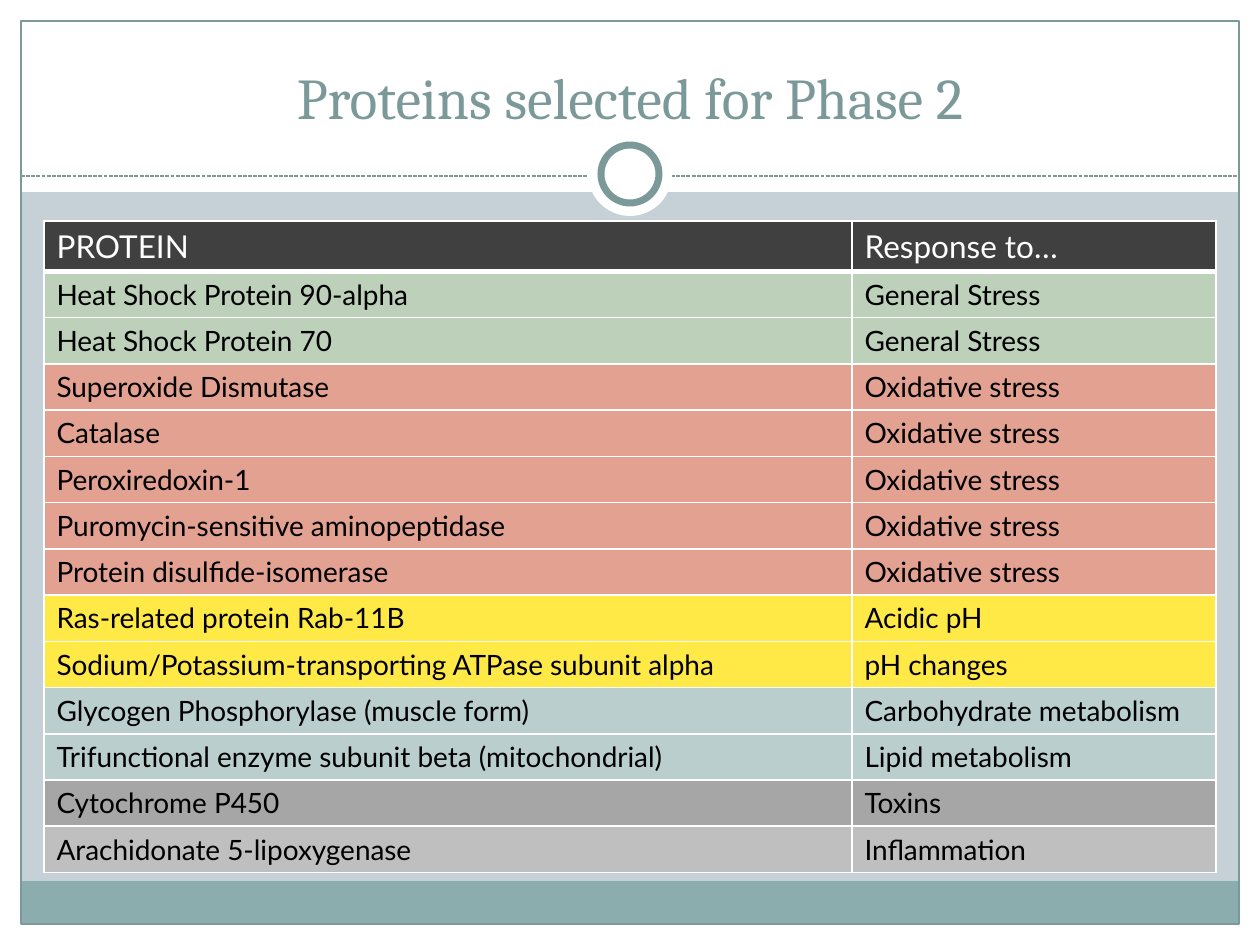
from lxml.etree import SubElement
from pptx import Presentation
from pptx.dml.color import RGBColor
from pptx.enum.dml import MSO_LINE
from pptx.enum.shapes import MSO_CONNECTOR, MSO_SHAPE
from pptx.enum.text import MSO_ANCHOR, PP_ALIGN
from pptx.oxml import parse_xml
from pptx.oxml.ns import nsdecls, qn
from pptx.util import Emu, Pt

WHITE = RGBColor(0xFF, 0xFF, 0xFF)
BLACK = RGBColor(0x00, 0x00, 0x00)
MIST = RGBColor(0xC5, 0xD1, 0xD7)
TEAL = RGBColor(0x7C, 0x99, 0x9A)
FOOTER_TEAL = RGBColor(0x8C, 0xAD, 0xAE)
CHARCOAL = RGBColor(0x40, 0x40, 0x40)
GREEN = RGBColor(0xBC, 0xD0, 0xBA)
RED = RGBColor(0xE3, 0xA1, 0x92)
YELLOW = RGBColor(0xFF, 0xE9, 0x47)
BLUE = RGBColor(0xBA, 0xCE, 0xCE)
GRAY = RGBColor(0xA6, 0xA6, 0xA6)
LIGHT_GRAY = RGBColor(0xBF, 0xBF, 0xBF)

PX_PER_INCH = 126
WIDTH, HEIGHT = 1260, 945
MARGIN = 21

HEADER = ("PROTEIN", "Response to…")
PROTEIN_GROUPS = [
    (GREEN, [
        ("Heat Shock Protein 90-alpha", "General Stress"),
        ("Heat Shock Protein 70", "General Stress"),
    ]),
    (RED, [
        ("Superoxide Dismutase", "Oxidative stress"),
        ("Catalase", "Oxidative stress"),
        ("Peroxiredoxin-1", "Oxidative stress"),
        ("Puromycin-sensitive aminopeptidase", "Oxidative stress"),
        ("Protein disulfide-isomerase", "Oxidative stress"),
    ]),
    (YELLOW, [
        ("Ras-related protein Rab-11B", "Acidic pH"),
        ("Sodium/Potassium-transporting ATPase subunit alpha", "pH changes"),
    ]),
    (BLUE, [
        ("Glycogen Phosphorylase (muscle form)", "Carbohydrate metabolism"),
        ("Trifunctional enzyme subunit beta (mitochondrial)", "Lipid metabolism"),
    ]),
    (GRAY, [("Cytochrome P450", "Toxins")]),
    (LIGHT_GRAY, [("Arachidonate 5-lipoxygenase", "Inflammation")]),
]


def px(length):
    return Emu(round(length * 914400 / PX_PER_INCH))


def fill_text(frame, text, font, size, color, align=PP_ALIGN.LEFT):
    paragraph = frame.paragraphs[0]
    paragraph.alignment = align
    run = paragraph.add_run()
    run.text = text
    run.font.name = font
    run.font.size = Pt(size)
    run.font.color.rgb = color


class SlideBuilder:
    title_font = "Cambria"
    body_font = "Lato"

    def __init__(self, slide):
        self.slide = slide

    def background(self, color):
        fill = self.slide.background.fill
        fill.solid()
        fill.fore_color.rgb = color

    def shape(self, kind, left, top, width, height, fill=None, line=None, weight=0.75):
        shape = self.slide.shapes.add_shape(kind, px(left), px(top), px(width), px(height))
        shape.shadow.inherit = False
        if fill is None:
            shape.fill.background()
        else:
            shape.fill.solid()
            shape.fill.fore_color.rgb = fill
        if line is None:
            shape.line.fill.background()
        else:
            shape.line.color.rgb = line
            shape.line.width = Pt(weight)

    def dashed_line(self, left, right, y, color):
        connector = self.slide.shapes.add_connector(
            MSO_CONNECTOR.STRAIGHT, px(left), px(y), px(right), px(y))
        connector.line.color.rgb = color
        connector.line.width = Pt(0.75)
        connector.line.dash_style = MSO_LINE.SQUARE_DOT
        SubElement(connector._element.spPr, qn("a:effectLst"))

    def title(self, text, left, top, width, height):
        frame = self.slide.shapes.add_textbox(px(left), px(top), px(width), px(height)).text_frame
        frame.word_wrap = True
        frame.vertical_anchor = MSO_ANCHOR.BOTTOM
        fill_text(frame, text, self.title_font, 33, TEAL, align=PP_ALIGN.CENTER)

    def cell(self, cell, text, fill, color, size, top=1, bottom=1):
        cell.fill.solid()
        cell.fill.fore_color.rgb = fill
        fill_text(cell.text_frame, text, self.body_font, size, color)
        properties = cell._tc.get_or_add_tcPr()
        borders = (("lnL", 1), ("lnR", 1), ("lnT", top), ("lnB", bottom))
        for position, (tag, weight) in enumerate(borders):
            properties.insert(position, parse_xml(
                f'<a:{tag} {nsdecls("a")} w="{Pt(weight)}"><a:solidFill>'
                f'<a:srgbClr val="{WHITE}"/></a:solidFill></a:{tag}>'))

    def table(self, left, top, widths, header_height, row_height, header, groups):
        rows = [(fill, texts) for fill, group in groups for texts in group]
        height = header_height + row_height * len(rows)
        table = self.slide.shapes.add_table(
            len(rows) + 1, len(widths), px(left), px(top), px(sum(widths)), px(height)).table
        for column, width in zip(table.columns, widths):
            column.width = px(width)
        for row in table.rows:
            row.height = px(row_height)
        table.rows[0].height = px(header_height)
        for column, text in enumerate(header):
            self.cell(table.cell(0, column), text, CHARCOAL, WHITE, 18, bottom=3)
        for index, (fill, texts) in enumerate(rows, 1):
            for column, text in enumerate(texts):
                self.cell(table.cell(index, column), text, fill, BLACK, 16,
                          top=3 if index == 1 else 1)


def main():
    presentation = Presentation()
    presentation.slide_width = px(WIDTH)
    presentation.slide_height = px(HEIGHT)
    builder = SlideBuilder(presentation.slides.add_slide(presentation.slide_layouts[6]))
    right, bottom = WIDTH - MARGIN, HEIGHT - MARGIN
    inner_width = WIDTH - 2 * MARGIN

    builder.background(MIST)
    for band in (
        (0, bottom, WIDTH, MARGIN),
        (0, 0, WIDTH, 192),
        (0, 0, MARGIN, HEIGHT),
        (right, 0, MARGIN, HEIGHT),
    ):
        builder.shape(MSO_SHAPE.RECTANGLE, *band, fill=WHITE)
    builder.shape(MSO_SHAPE.RECTANGLE, MARGIN, 881, inner_width, 43, fill=FOOTER_TEAL)
    builder.shape(MSO_SHAPE.RECTANGLE, MARGIN, MARGIN, inner_width, bottom - MARGIN, line=TEAL)
    builder.dashed_line(MARGIN, right, 176, TEAL)
    builder.shape(MSO_SHAPE.OVAL, 588, 132, 84, 84, fill=WHITE)
    builder.shape(MSO_SHAPE.OVAL, 601, 145, 58, 58, fill=WHITE, line=TEAL, weight=4)
    builder.title("Proteins selected for Phase 2", 42, 32, 1176, 105)
    builder.table(44, 221, (808, 364), 50, 46, HEADER, PROTEIN_GROUPS)
    presentation.save("out.pptx")


if __name__ == "__main__":
    main()
